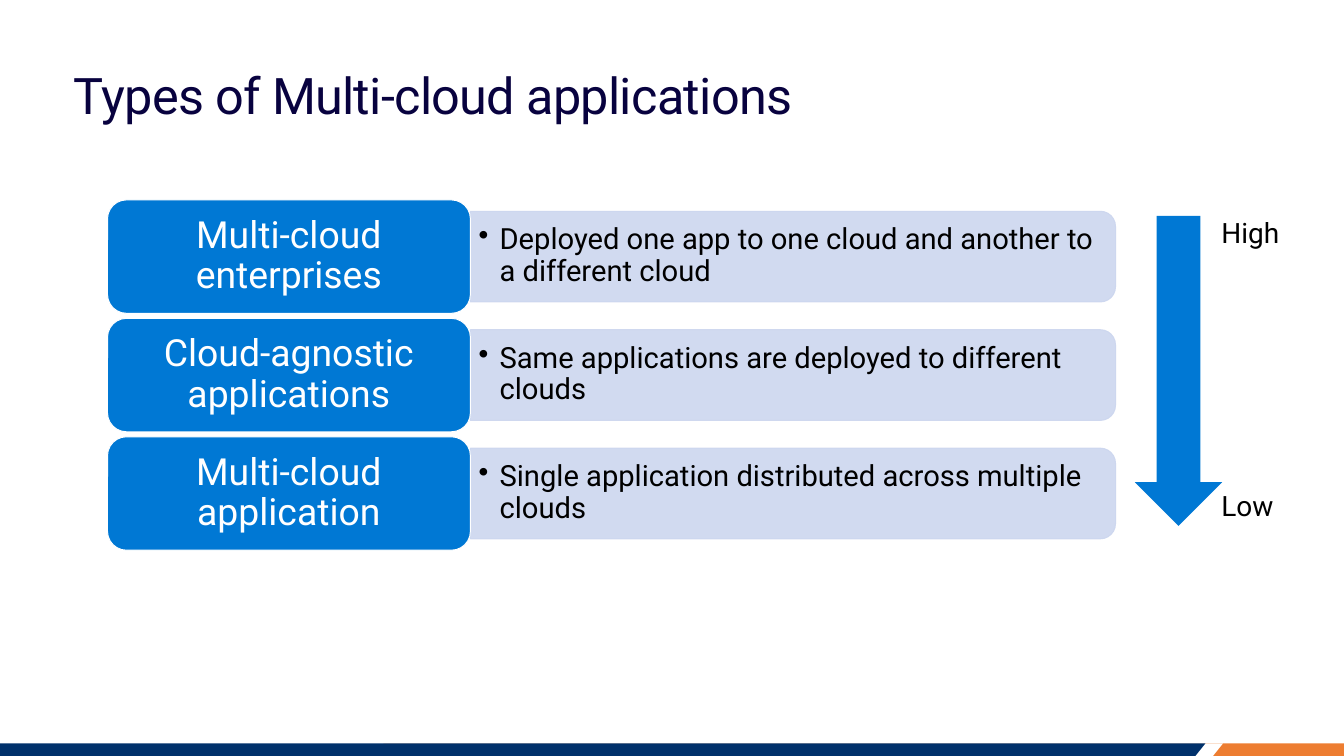
import pptx
import pptx.util
import pptx.dml.color
import pptx.enum.shapes
import pptx.enum.text
import pptx.oxml
import pptx.oxml.ns
from pptx.util import Inches

TITLE = "Types of Multi-cloud applications"
ROWS = [
    ("Multi-cloud enterprises", "Deployed one app to one cloud and another to a different cloud"),
    ("Cloud-agnostic applications", "Same applications are deployed to different clouds"),
    ("Multi-cloud application", "Single application distributed across multiple clouds"),
]
SCALE_LABELS = [("High", 2.57), ("Low", 5.82)]
COLORS = {
    "title": "08023F", "blue": "0078D4", "panel": "CCD6EF", "navy": "00316B",
    "orange": "ED7D31", "white": "FFFFFF", "black": "000000",
}
FOOTER_TOP, FOOTER_BOTTOM = 8.85, 9
FOOTER_BANDS = [
    ("orange", 4.57, 4.39, 16, 16),
    ("white", 0, 0, 14.56, 14.44),
    ("navy", 0, 0, 14.35, 14.23),
]
ROW_TOP, ROW_STEP = 2.38, 1.41
LABEL_LEFT, LABEL_W, LABEL_H = 1.28, 4.32, 1.35
PANEL_W, PANEL_H = 7.68, 1.08

SHAPES = pptx.enum.shapes.MSO_SHAPE
ALIGN = pptx.enum.text.PP_ALIGN
ANCHOR = pptx.enum.text.MSO_ANCHOR


def rgb(name):
    return pptx.dml.color.RGBColor.from_string(COLORS[name])


def paint(sp, fill, line=None, alpha=None):
    sp.shadow.inherit = False
    sp.fill.solid()
    sp.fill.fore_color.rgb = rgb(fill)
    if line:
        sp.line.color.rgb = rgb(line)
        sp.line.width = pptx.util.Pt(0.85)
    else:
        sp.line.fill.background()
    if alpha:
        for color in sp.element.spPr.iter(pptx.oxml.ns.qn("a:srgbClr")):
            color.append(pptx.oxml.parse_xml(
                f'<a:alpha {pptx.oxml.ns.nsdecls("a")} val="{alpha * 1000}"/>'))


def write(sp, text, size, color, align=ALIGN.LEFT, anchor=ANCHOR.TOP,
          margins=(0, 0), spacing=None, bullet=False, tracking=None):
    tf = sp.text_frame
    tf.word_wrap = True
    tf.auto_size = pptx.enum.text.MSO_AUTO_SIZE.NONE
    tf.vertical_anchor = anchor
    tf.margin_left = tf.margin_right = Inches(margins[0])
    tf.margin_top = tf.margin_bottom = Inches(margins[1])
    p = tf.paragraphs[0]
    p.alignment = align
    if spacing:
        p.line_spacing = spacing
    if bullet:
        pPr = p._p.get_or_add_pPr()
        pPr.set("marL", str(Inches(0.25)))
        pPr.set("indent", str(-Inches(0.25)))
        pPr.append(pptx.oxml.parse_xml(
            f'<a:buChar {pptx.oxml.ns.nsdecls("a")} char="•"/>'))
    r = p.add_run()
    r.text = text
    r.font.name = "Roboto"
    r.font.size = pptx.util.Pt(size)
    r.font.color.rgb = rgb(color)
    if tracking:
        r._r.get_or_add_rPr().set("spc", str(tracking))


def box(left, top, width, height):
    return [Inches(v) for v in (left, top, width, height)]


def main():
    prs = pptx.Presentation()
    prs.slide_width, prs.slide_height = Inches(16), Inches(9)
    s = prs.slides.add_slide(prs.slide_layouts[5])

    title = s.shapes.title
    title.left, title.top, title.width, title.height = box(0.88, 0.84, 8.82, 0.65)
    write(title, TITLE, 43.2, "title", anchor=ANCHOR.BOTTOM, spacing=0.9, tracking=-60)

    for color, top_left, bottom_left, top_right, bottom_right in FOOTER_BANDS:
        outline = s.shapes.build_freeform(Inches(top_left), Inches(FOOTER_TOP))
        outline.add_line_segments([
            (Inches(bottom_left), Inches(FOOTER_BOTTOM)),
            (Inches(bottom_right), Inches(FOOTER_BOTTOM)),
            (Inches(top_right), Inches(FOOTER_TOP)),
        ])
        paint(outline.convert_to_shape(), color)

    panel_left = LABEL_LEFT + LABEL_W
    for i, (label, detail) in enumerate(ROWS):
        top = ROW_TOP + i * ROW_STEP
        middle = top + LABEL_H / 2
        panel = s.shapes.add_shape(SHAPES.ROUND_2_SAME_RECTANGLE, *box(
            panel_left + (PANEL_W - PANEL_H) / 2, middle - PANEL_W / 2, PANEL_H, PANEL_W))
        panel.rotation = 90
        paint(panel, "panel", line="panel", alpha=90)
        tb = s.shapes.add_textbox(*box(panel_left, middle - 0.49, 7.63, 0.97))
        write(tb, detail, 25, "black", anchor=ANCHOR.MIDDLE, margins=(0.1, 0.05),
              spacing=0.9, bullet=True)
        sp = s.shapes.add_shape(SHAPES.ROUNDED_RECTANGLE, *box(LABEL_LEFT, top, LABEL_W, LABEL_H))
        paint(sp, "blue", line="white")
        write(sp, label, 32, "white", align=ALIGN.CENTER, anchor=ANCHOR.MIDDLE,
              margins=(0.13, 0.07), spacing=0.9)

    for text, top in SCALE_LABELS:
        write(s.shapes.add_textbox(*box(14.54, top, 1.06, 0.4)), text, 24, "black")
    paint(s.shapes.add_shape(SHAPES.DOWN_ARROW, *box(13.51, 2.57, 1.04, 3.69)), "blue")

    prs.save("out.pptx")


if __name__ == "__main__":
    main()
